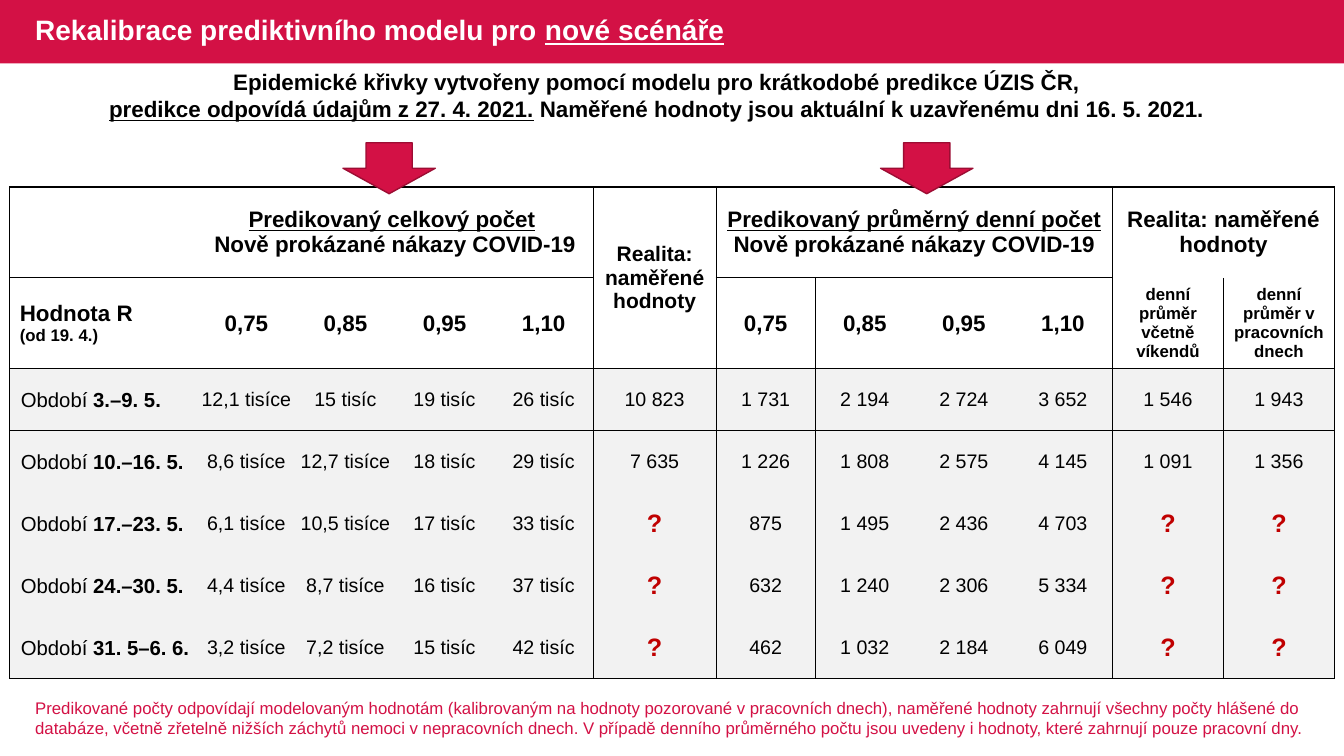
from copy import deepcopy
from lxml import etree
from pptx import Presentation
from pptx import util as u
from pptx.dml.color import RGBColor
from pptx.enum import shapes, text
from pptx.oxml.ns import qn

Pt = u.Pt
CRIMSON, DARK, BLACK, WHITE, GREY, RED = "D31145", "9C0D33", "000000", "FFFFFF", "F2F2F2", "C00000"
LEFT, CENTER = text.PP_ALIGN.LEFT, text.PP_ALIGN.CENTER
R_VALUES = ["0,75", "0,85", "0,95", "1,10"]
COLUMNS = [133.6] + [70.8] * 4 + [87.8] + [70.8] * 4 + [79.3] * 2
ROWS = [64.8, 61.4] + [44.3] * 5
PERIODS = [
    ("3.–9. 5.", "12,1 tisíce|15 tisíc|19 tisíc|26 tisíc|10 823|1 731|2 194|2 724|3 652|1 546|1 943"),
    ("10.–16. 5.", "8,6 tisíce|12,7 tisíce|18 tisíc|29 tisíc|7 635|1 226|1 808|2 575|4 145|1 091|1 356"),
    ("17.–23. 5.", "6,1 tisíce|10,5 tisíce|17 tisíc|33 tisíc|?|875|1 495|2 436|4 703|?|?"),
    ("24.–30. 5.", "4,4 tisíce|8,7 tisíce|16 tisíc|37 tisíc|?|632|1 240|2 306|5 334|?|?"),
    ("31. 5–6. 6.", "3,2 tisíce|7,2 tisíce|15 tisíc|42 tisíc|?|462|1 032|2 184|6 049|?|?"),
]


def color(value):
    return RGBColor.from_string(value)


def write(p, runs, size, ink=BLACK, bold=True, align=CENTER):
    p.alignment = align
    for words, style in runs:
        r = p.add_run()
        r.text = words.rstrip("\n")
        r.font.name = "Arial"
        r.font.size = Pt(style.get("size", size))
        r.font.bold = style.get("bold", bold)
        r.font.underline = style.get("underline", False)
        r.font.color.rgb = color(ink)
        if words.endswith("\n"):
            p.add_line_break()
            p._p[-1].append(deepcopy(r._r.rPr))


def text_box(s, box, runs, size, **style):
    tf = s.shapes.add_textbox(*map(Pt, box)).text_frame
    tf.word_wrap = True
    write(tf.paragraphs[0], runs, size, **style)
    return tf


def preset(s, kind, box, line=None):
    sp = s.shapes.add_shape(kind, *map(Pt, box))
    sp.shadow.inherit = False
    sp.fill.solid()
    sp.fill.fore_color.rgb = color(CRIMSON)
    if line:
        sp.line.color.rgb = color(line)
        sp.line.width = Pt(1)
    else:
        sp.line.fill.background()


def title_bar(s, x, y, w, h):
    preset(s, shapes.MSO_SHAPE.RECTANGLE, (x, y, w, h))
    tf = text_box(s, (x + 18, y, 533.5, h), [
        ("Rekalibrace prediktivního modelu pro ", {}),
        ("nové scénáře", {"underline": True})], 20, ink=WHITE, align=LEFT)
    tf.vertical_anchor = text.MSO_ANCHOR.MIDDLE
    tf.paragraphs[0].line_spacing = 0.9


def vertical_rule(row, x):
    return x in (0, 5, 6, 10, 12) or (x in (7, 11) and row > 0)


def horizontal_rule(col, y):
    return y in (0, 2, 3, 7) or (y == 1 and col not in (5, 10, 11))


def add_borders(cell, row, col):
    right, bottom = col + cell.span_width, row + cell.span_height
    edges = [("L", vertical_rule(row, col), 1), ("R", vertical_rule(row, right), 1),
             ("T", horizontal_rule(col, row), 1.5 if row in (0, 3) else 1),
             ("B", horizontal_rule(col, bottom), 1.5 if bottom == 3 else 1)]
    tcPr = cell._tc.get_or_add_tcPr()
    for side, shown, width in edges:
        ln = etree.SubElement(tcPr, qn("a:ln" + side), w=str(Pt(width)))
        fill = etree.SubElement(ln, qn("a:solidFill" if shown else "a:noFill"))
        if shown:
            etree.SubElement(fill, qn("a:srgbClr"), val=BLACK)


def set_margins(cell, side, bottom):
    cell.margin_left = cell.margin_right = cell.margin_top = Pt(side)
    cell.margin_bottom = Pt(bottom)


def header_cells(table):
    for row, col, last_row, last_col in [(0, 1, 0, 4), (0, 5, 1, 5), (0, 6, 0, 9), (0, 10, 0, 11)]:
        table.cell(row, col).merge(table.cell(last_row, last_col))
    underlined = {"underline": True}
    reality = [[("Realita: naměřené", {})], [("hodnoty", {})]]
    headings = [
        (0, 1, 16, [[("Predikovaný celkový počet", underlined), (" \n", {}),
                     ("Nově prokázané nákazy COVID-19", {})]]),
        (0, 5, 15, reality),
        (0, 6, 16, [[("Predikovaný průměrný denní počet", underlined),
                     (" Nově prokázané nákazy COVID-19", {})]]),
        (0, 10, 16, reality),
        (1, 0, 16, [[("Hodnota R\n", {}), ("(od 19. 4.)", {"size": 12})]]),
        (1, 10, 12, [[("denní průměr včetně víkendů", {})]]),
        (1, 11, 12, [[("denní průměr v pracovních dnech", {})]]),
    ]
    for row, col, size, paragraphs in headings:
        tf = table.cell(row, col).text_frame
        for i, runs in enumerate(paragraphs):
            p = tf.add_paragraph() if i else tf.paragraphs[0]
            write(p, runs, size, align=CENTER if col else LEFT)
    for first in (1, 6):
        for col, value in enumerate(R_VALUES, first):
            cell = table.cell(1, col)
            set_margins(cell, 0.7, 0)
            write(cell.text_frame.paragraphs[0], [(value, {})], 16)


def period_rows(table):
    for row, (period, values) in enumerate(PERIODS, 2):
        cell = table.cell(row, 0)
        set_margins(cell, 0.7, 0)
        p = cell.text_frame.paragraphs[0]
        p._p.get_or_add_pPr().set("marL", str(Pt(7.2)))
        write(p, [("Období ", {"bold": False}), (period, {})], 14.5, align=LEFT)
        for col, value in enumerate(values.split("|"), 1):
            cell = table.cell(row, col)
            unknown = value == "?"
            set_margins(cell, 0.7 if unknown else 0, 0)
            write(cell.text_frame.paragraphs[0], [(value, {})], 18 if unknown else 14,
                  ink=RED if unknown else BLACK, bold=unknown)


def scenario_table(s, x, y):
    box = (x, y, sum(COLUMNS), sum(ROWS))
    table = s.shapes.add_table(len(ROWS), len(COLUMNS), *map(Pt, box)).table
    table.first_row = table.horz_banding = False
    for col, width in enumerate(COLUMNS):
        table.columns[col].width = Pt(width)
    for row, height in enumerate(ROWS):
        table.rows[row].height = Pt(height)
    header_cells(table)
    period_rows(table)
    for row in range(len(ROWS)):
        for col in range(len(COLUMNS)):
            cell = table.cell(row, col)
            cell.vertical_anchor = text.MSO_ANCHOR.MIDDLE
            add_borders(cell, row, col)
            cell.fill.solid()
            cell.fill.fore_color.rgb = color(GREY if row > 1 else WHITE)


def main():
    prs = Presentation()
    prs.slide_width, prs.slide_height = Pt(960), Pt(540)
    s = prs.slides.add_slide(prs.slide_layouts[6])
    title_bar(s, 0, 0, 960, 45.2)
    text_box(s, (-16, 45.4, 970, 46), [
        ("Epidemické křivky vytvořeny pomocí modelu pro krátkodobé predikce ÚZIS ČR,\n", {}),
        ("predikce odpovídá údajům z 27. 4. 2021.", {"underline": True}),
        (" Naměřené hodnoty jsou aktuální k uzavřenému dni 16. 5. 2021.", {})], 16)
    scenario_table(s, 7, 133.6)
    text_box(s, (18, 494.8, 924, 36), [(
        "Predikované počty odpovídají modelovaným hodnotám (kalibrovaným na hodnoty pozorované "
        "v pracovních dnech), naměřené hodnoty zahrnují všechny počty hlášené do databáze, "
        "včetně zřetelně nižších záchytů nemoci v nepracovních dnech. V případě denního "
        "průměrného počtu jsou uvedeny i hodnoty, které zahrnují pouze pracovní dny.", {})],
        12, ink=CRIMSON, bold=False, align=LEFT)
    for x in (245, 629):
        preset(s, shapes.MSO_SHAPE.DOWN_ARROW, (x, 102, 66, 36.4), DARK)
    prs.save("out.pptx")


if __name__ == "__main__":
    main()
